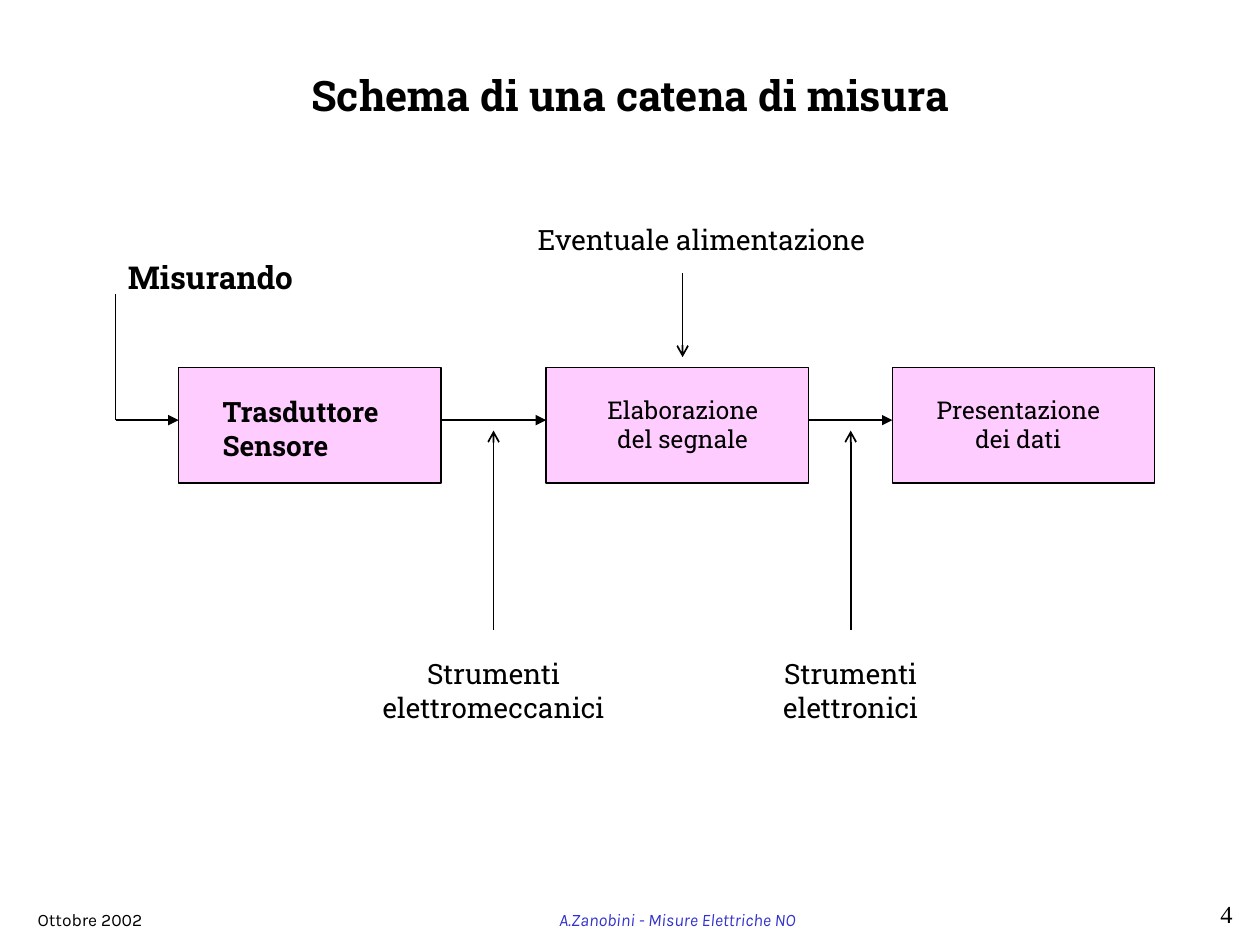
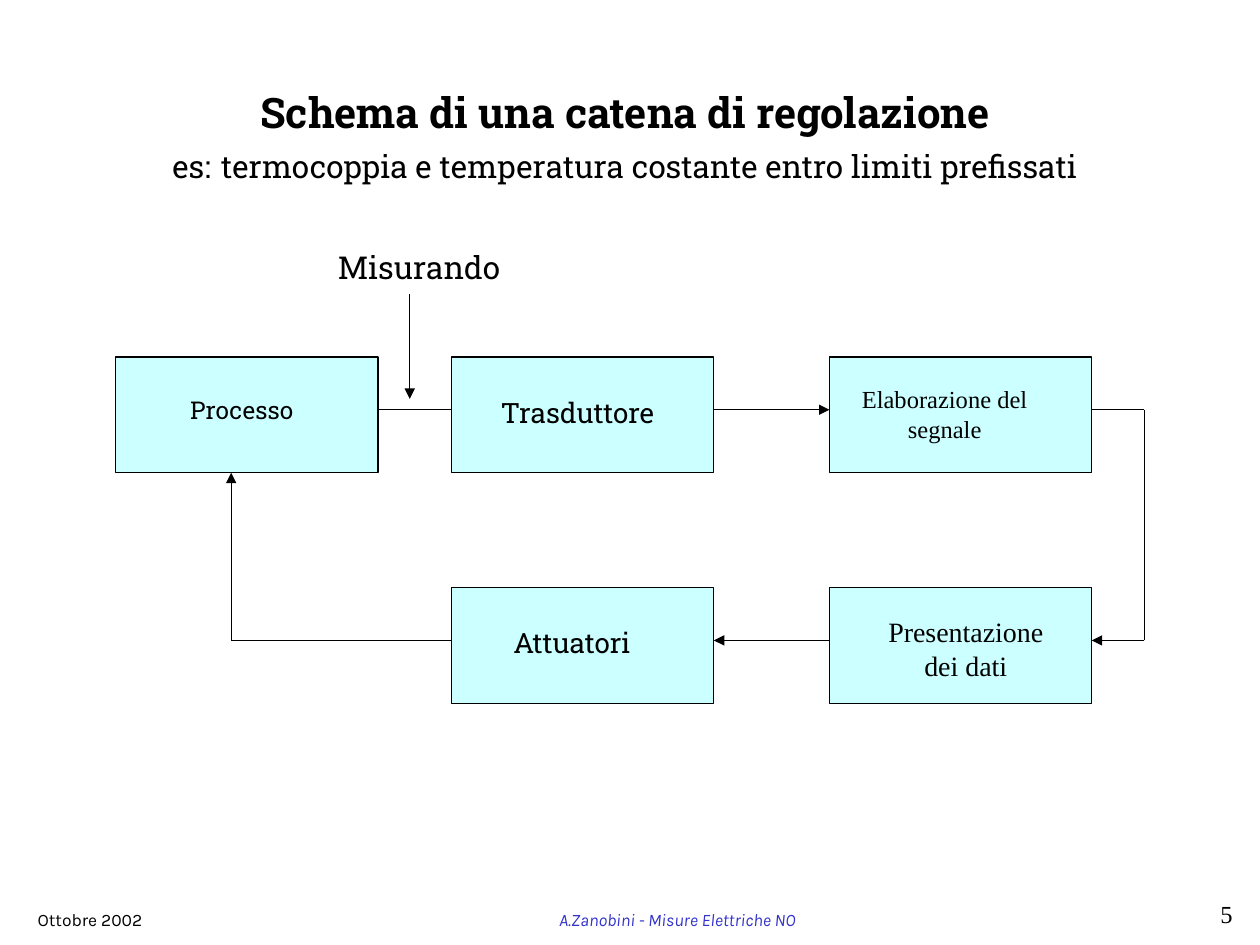
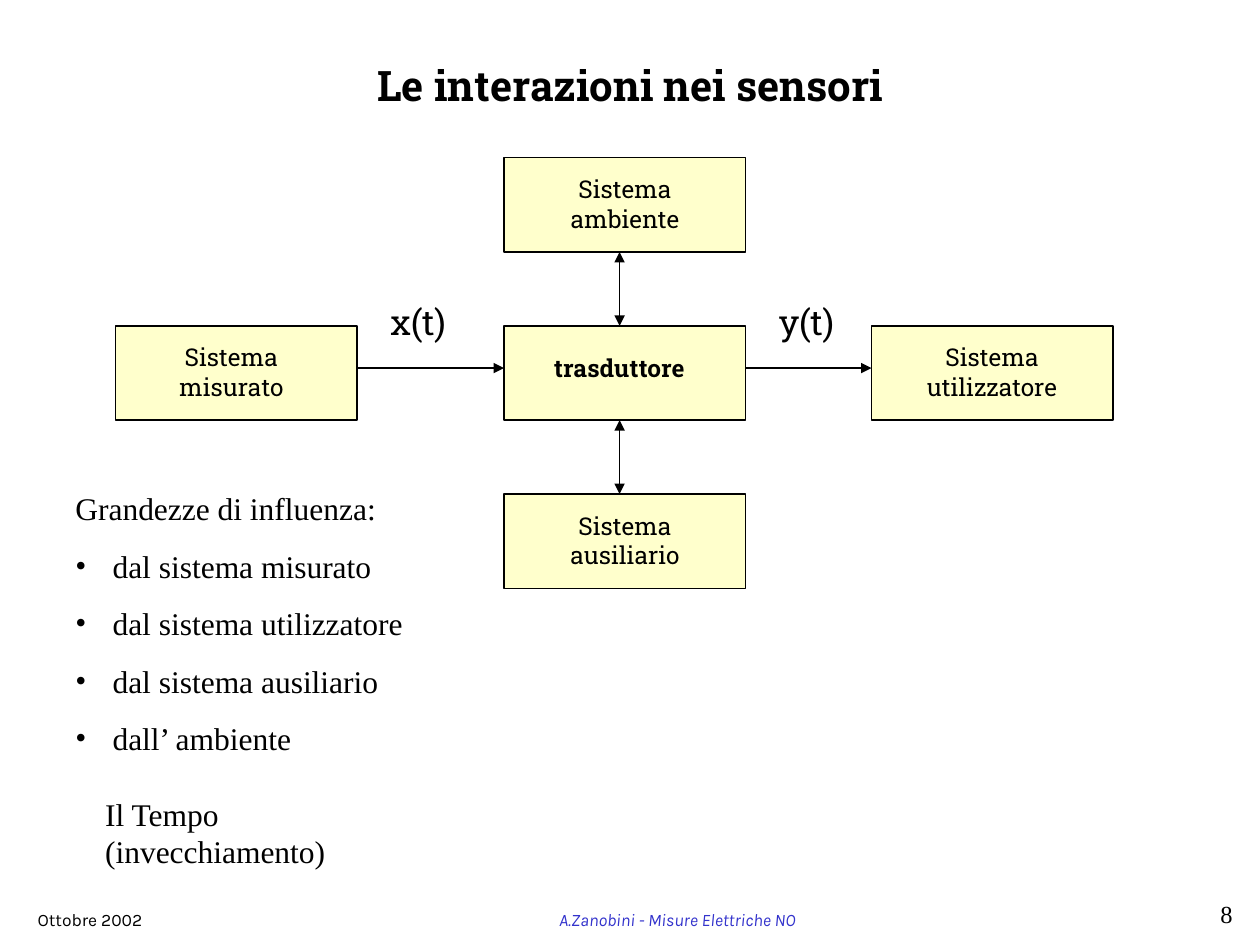
from dataclasses import dataclass

from lxml import etree
from pptx import Presentation
from pptx import util as u
from pptx.dml.color import RGBColor
from pptx.enum import shapes, text
from pptx.oxml import ns

BLACK = RGBColor(0x00, 0x00, 0x00)
BLUE = RGBColor(0x33, 0x33, 0xCC)
PINK = RGBColor(0xFF, 0xCC, 0xFF)
AQUA = RGBColor(0xCC, 0xFF, 0xFF)
CREAM = RGBColor(0xFF, 0xFF, 0xCC)
SLAB = "Roboto Slab"
SERIF = "Times New Roman"
SANS = "Karla"
LEFT = text.PP_ALIGN.LEFT
CENTER = text.PP_ALIGN.CENTER
RIGHT = text.PP_ALIGN.RIGHT
BLOCK_WIDTH, BLOCK_HEIGHT, FLOW_DROP = 5.29, 2.33, 1.06


@dataclass
class Box:
    left: float
    top: float
    width: float
    height: float

    def inside(self, left, top, width, height):
        return Box(self.left + left, self.top + top, width, height)

    def lengths(self):
        return [u.Cm(side) for side in (self.left, self.top, self.width, self.height)]


def format_font(font, size, face=SLAB, bold=False, italic=False, color=BLACK):
    font.size = u.Pt(size)
    font.name = face
    font.bold = bold
    font.italic = italic
    font.color.rgb = color


def add_label(page, box, words, size, align=CENTER, wrap=True, grow=True, **style):
    label = page.shapes.add_textbox(*box.lengths())
    frame = label.text_frame
    frame.word_wrap = wrap
    frame.auto_size = text.MSO_AUTO_SIZE.SHAPE_TO_FIT_TEXT if grow else text.MSO_AUTO_SIZE.NONE
    frame.text = words
    for para in frame.paragraphs:
        para.alignment = align
        for span in para.runs:
            format_font(span.font, size, **style)
    return label


def add_block(page, box, fill, words, label_place, size=14, **style):
    block = page.shapes.add_shape(shapes.MSO_SHAPE.RECTANGLE, *box.lengths())
    block.shadow.inherit = False
    block.fill.solid()
    block.fill.fore_color.rgb = fill
    block.line.color.rgb = BLACK
    block.line.width = u.Pt(0.75)
    add_label(page, box.inside(*label_place), words, size, **style)


def add_line(page, area, start, end, head=None, tail=None, width=0.75):
    points = [u.Cm(origin + offset) for point in (start, end)
              for origin, offset in zip((area.left, area.top), point)]
    line = page.shapes.add_connector(shapes.MSO_CONNECTOR.STRAIGHT, *points)
    line.line.color.rgb = BLACK
    line.line.width = u.Pt(width)
    outline = line.line._get_or_add_ln()
    for tag, kind in (("a:headEnd", head), ("a:tailEnd", tail)):
        if kind:
            etree.SubElement(outline, ns.qn(tag), type=kind)
    etree.SubElement(line._element.spPr, ns.qn("a:effectLst"))


def add_title(page, box, words, subtitle=()):
    title = page.shapes.title
    title.left, title.top, title.width, title.height = box.lengths()
    frame = title.text_frame
    frame.auto_size = text.MSO_AUTO_SIZE.NONE
    frame.vertical_anchor = text.MSO_ANCHOR.MIDDLE
    frame.text = words
    para = frame.paragraphs[0]
    para.alignment = CENTER
    format_font(para.runs[0].font, 24, bold=True)
    if subtitle:
        para.add_line_break()
    for piece, size in subtitle:
        span = para.add_run()
        span.text = piece
        format_font(span.font, size)


def add_footer(page, number):
    add_label(page, Box(3.81, 18.2, 19.69, 0.85), "A.Zanobini - Misure Elettriche NO", 10,
              grow=False, face=SANS, italic=True, color=BLUE)
    add_label(page, Box(23.98, 17.99, 1.12, 1.27), str(number), 14, RIGHT,
              grow=False, face=SERIF)
    add_label(page, Box(0.51, 18.2, 2.9, 1.06), "Ottobre 2002", 10, LEFT,
              grow=False, face=SANS)


def add_page(deck, number, title_box, title, subtitle=()):
    page = deck.slides.add_slide(deck.slide_layouts.get_by_name("Title Only"))
    add_title(page, title_box, title, subtitle)
    add_footer(page, number)
    return page


def draw_measuring_chain(page, area):
    sensor, processing, display = 1.27, 8.68, 15.66
    row = 3.04
    flow = row + FLOW_DROP
    blocks = [
        (sensor, "Trasduttore\nSensore", (0.64, 0.42, 4.23, 1.63),
         dict(size=16, align=LEFT, bold=True)),
        (processing, "Elaborazione del segnale", (0.64, 0.42, 4.23, 1.45), {}),
        (display, "Presentazione\vdei dati", (-0.21, 0.42, 5.5, 1.45), {}),
    ]
    for left, words, place, style in blocks:
        add_block(page, area.inside(left, row, BLOCK_WIDTH, BLOCK_HEIGHT), PINK,
                  words, place, **style)

    add_line(page, area, (0, flow), (0, 1.56))
    for start, end in ((0, sensor), (sensor + BLOCK_WIDTH, processing),
                       (processing + BLOCK_WIDTH, display)):
        add_line(page, area, (start, flow), (end, flow), tail="triangle")
    add_label(page, area.inside(0, 0.71, 4.23, 1.02), "Misurando", 18, LEFT, bold=True)

    note_width = 5.93
    for center, words in ((7.62, "Strumenti elettromeccanici"),
                          (14.82, "Strumenti elettronici")):
        add_line(page, area, (center, 4.31), (center, 8.33), head="arrow", width=1)
        add_label(page, area.inside(center - note_width / 2, 8.75, note_width, 1.63), words, 16)

    add_line(page, area, (11.43, 2.83), (11.43, 1.13), head="arrow", width=1)
    add_label(page, area.inside(8.26, 0, 7.24, 0.94), "Eventuale alimentazione", 16, LEFT,
              wrap=False)


def draw_control_loop(page, area):
    first, second, third = 0, 6.77, 14.39
    upper, lower = 2.33, 6.98
    blocks = [
        (first, upper, "Processo", (0.64, 0.64, 3.81, 0.86), {}),
        (second, upper, "Trasduttore", (0.64, 0.64, 3.81, 0.94), dict(size=16)),
        (third, upper, "Elaborazione del segnale", (0.21, 0.42, 4.23, 1.45),
         dict(face=SERIF)),
        (third, lower, "Presentazione\vdei dati", (0, 0.42, 5.5, 1.63),
         dict(size=16, face=SERIF)),
        (second, lower, "Attuatori", (0.42, 0.64, 4.02, 0.94), dict(size=16)),
    ]
    for left, top, words, place, style in blocks:
        add_block(page, area.inside(left, top, BLOCK_WIDTH, BLOCK_HEIGHT), AQUA,
                  words, place, **style)

    out_flow, back_flow = upper + FLOW_DROP, lower + FLOW_DROP
    turn, feedback = 20.74, 2.33
    first_end, second_end, third_end = (left + BLOCK_WIDTH for left in (first, second, third))
    lines = [
        ((first_end, out_flow), (second, out_flow), None),
        ((second_end, out_flow), (third, out_flow), "triangle"),
        ((turn, out_flow), (third_end, out_flow), None),
        ((turn, back_flow), (turn, out_flow), None),
        ((turn, back_flow), (third_end, back_flow), "triangle"),
        ((third, back_flow), (second_end, back_flow), "triangle"),
        ((second, back_flow), (feedback, back_flow), None),
        ((feedback, back_flow), (feedback, upper + BLOCK_HEIGHT), "triangle"),
        ((5.93, 1.06), (5.93, 3.17), "triangle"),
    ]
    for start, end, tail in lines:
        add_line(page, area, start, end, tail=tail)
    add_label(page, area.inside(4.23, 0, 4.23, 1.02), "Misurando", 18, LEFT)


def draw_interactions(page, area):
    width, height = 4.87, 1.9
    measured, center, user = 0, 7.83, 15.24
    above, middle, below = (3.39 * row for row in range(3))
    blocks = [
        (measured, middle, "Sistema misurato", (0.64, 0.21, 3.39, 1.45), False),
        (user, middle, "Sistema utilizzatore", (0.42, 0.21, 4.02, 1.45), False),
        (center, above, "Sistema ambiente", (0.64, 0.21, 3.6, 1.45), False),
        (center, below, "Sistema ausiliario", (0.64, 0.21, 3.6, 1.45), False),
        (center, middle, "trasduttore", (0.42, 0.42, 3.81, 0.86), True),
    ]
    for left, top, words, place, bold in blocks:
        add_block(page, area.inside(left, top, width, height), CREAM, words, place, bold=bold)

    axis, flow = 10.16, middle + 0.85
    for start, end in ((middle, above + height), (middle + height, below)):
        add_line(page, area, (axis, start), (axis, end), head="triangle", tail="triangle")
    for start, end in ((measured + width, center), (center + width, user)):
        add_line(page, area, (start, flow), (end, flow), tail="triangle")
    for left, label_width, words in ((5.29, 1.69, "x(t)"), (13.12, 2.54, "y(t)")):
        add_label(page, area.inside(left, 2.75, label_width, 1.12), words, 20, LEFT)


def add_influences(page, box):
    items = ["dal sistema misurato", "dal sistema utilizzatore",
             "dal sistema ausiliario", "dall’ ambiente"]
    words = "\n".join(["Grandezze di influenza:", *items, "Il Tempo (invecchiamento)"])
    label = add_label(page, box, words, 18, LEFT, face=SERIF)
    bullets, closing = label.text_frame.paragraphs[1:-1], label.text_frame.paragraphs[-1]
    for para in bullets:
        layout = para._p.get_or_add_pPr()
        layout.set("marL", str(u.Cm(0.75)))
        layout.set("indent", str(-u.Cm(0.75)))
        etree.SubElement(layout, ns.qn("a:buFont"), typeface=SERIF)
        etree.SubElement(layout, ns.qn("a:buChar"), char="•")
        para.space_before = u.Pt(11.2)
    closing._p.get_or_add_pPr().set("marL", str(u.Cm(0.6)))
    closing.space_before = u.Pt(21.7)


def main():
    deck = Presentation()
    deck.slide_width, deck.slide_height = u.Cm(25.4), u.Cm(19.05)

    page = add_page(deck, 4, Box(1.91, 0.64, 21.59, 2.54), "Schema di una catena di misura")
    draw_measuring_chain(page, Box(2.33, 4.37, 20.95, 10.38))

    subtitle = [("es:", 18), (" ", 24),
                ("termocoppia e temperatura costante entro limiti prefissati", 18)]
    page = add_page(deck, 5, Box(1.91, 1.48, 21.38, 2.54),
                    "Schema di una catena di regolazione", subtitle)
    draw_control_loop(page, Box(2.33, 4.87, 20.74, 9.31))

    page = add_page(deck, 8, Box(1.91, 0.64, 21.59, 2.12), "Le interazioni nei sensori")
    draw_interactions(page, Box(2.33, 3.18, 20.11, 8.68))
    add_influences(page, Box(1.27, 9.74, 7.83, 7.2))

    deck.save("out.pptx")


if __name__ == "__main__":
    main()
